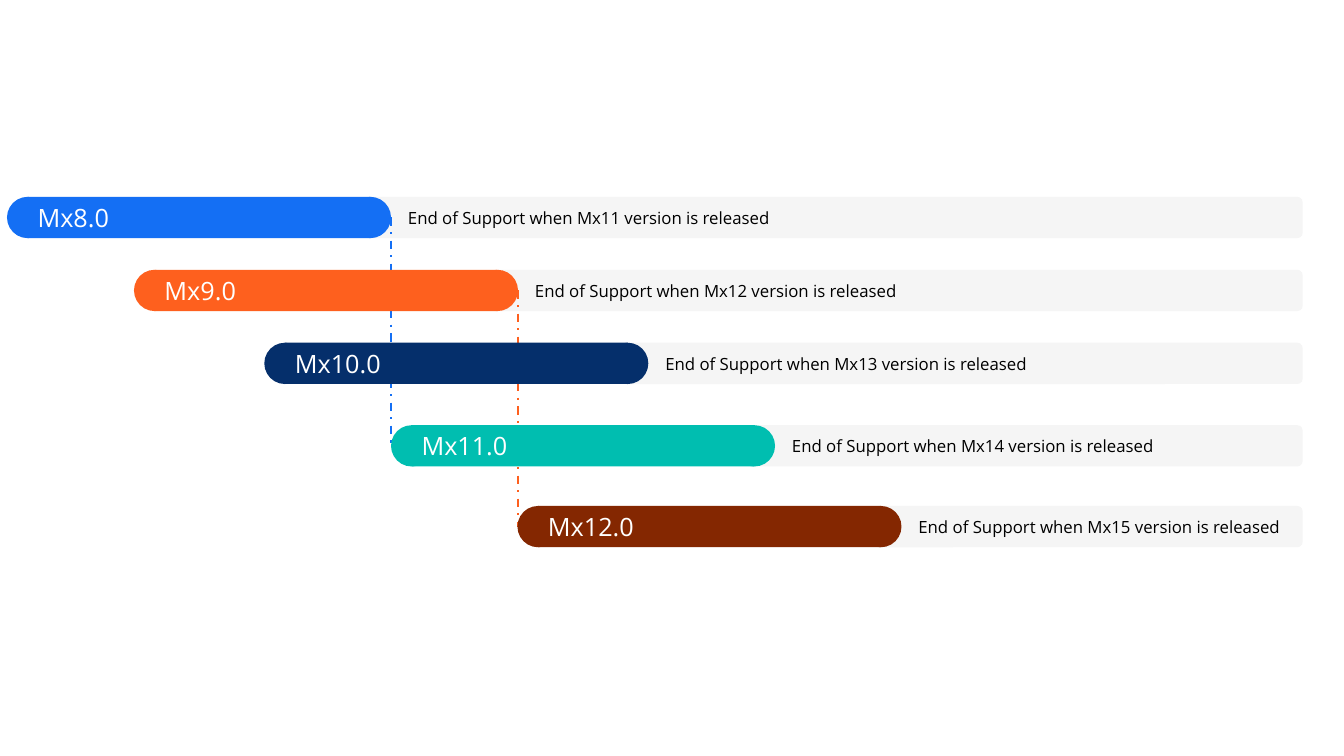
from dataclasses import dataclass

from lxml import etree
from pptx import Presentation
from pptx import util as u
from pptx.dml.color import RGBColor
from pptx.enum import dml, shapes, text
from pptx.oxml.ns import qn


@dataclass(frozen=True)
class Theme:
    font: str = "Open Sans"
    version_size: float = 18
    note_size: float = 12
    line_width: float = 1.5
    band: str = "F5F5F5"
    white: str = "FFFFFF"
    black: str = "000000"
    blue: str = "146FF4"
    orange: str = "FE601E"
    navy: str = "052F6B"
    teal: str = "00BEB0"
    brown: str = "842701"


THEME = Theme()
ROW_HEIGHT = 29.5
BAR_WIDTH = 274.3
BAND_RIGHT = 930.5
BAND_OVERLAP = 20  # part of the band hidden behind the bar

# Major version, bar left, row top, colour
RELEASES = [
    (8, 5, 140.6, THEME.blue),
    (9, 95.7, 192.7, THEME.orange),
    (10, 188.8, 244.8, THEME.navy),
    (11, 279.3, 303.7, THEME.teal),
    (12, 369.6, 361.4, THEME.brown),
]
SUPPORT_SPAN = 3  # a version is supported until the third one after it
LINKED = (8, 9)


def add_block(parent, kind, left, top, width, height, color):
    sp = parent.shapes.add_shape(kind, u.Pt(left), u.Pt(top), u.Pt(width), u.Pt(height))
    sp.shadow.inherit = False
    sp.fill.solid()
    sp.fill.fore_color.rgb = RGBColor.from_string(color)
    sp.line.fill.background()
    return sp


def set_text(sp, words, size, color, inset):
    tf = sp.text_frame
    tf.word_wrap = True
    tf.vertical_anchor = text.MSO_ANCHOR.MIDDLE
    tf.margin_left = u.Pt(inset)
    p = tf.paragraphs[0]
    p.text = words
    p.alignment = text.PP_ALIGN.LEFT
    p.font.name = THEME.font
    p.font.size = u.Pt(size)
    p.font.color.rgb = RGBColor.from_string(color)


def add_release(s, left, top, width, height, version, color):
    """Grey note band with a round-ended version bar at its left."""
    group = s.shapes.add_group_shape()
    bar_right = left + BAR_WIDTH

    # Note band
    band_left = bar_right - BAND_OVERLAP
    band = add_block(group, shapes.MSO_SHAPE.ROUNDED_RECTANGLE, band_left, top,
                     left + width - band_left, height, THEME.band)
    band.adjustments[0] = 0.13
    set_text(band, f"End of Support when Mx{version + SUPPORT_SPAN} version is released",
             THEME.note_size, THEME.black, 31)

    # Bar: two round caps and a body
    for cap_left in (left, bar_right - height):
        add_block(group, shapes.MSO_SHAPE.OVAL, cap_left, top, height, height, color)
    body = add_block(group, shapes.MSO_SHAPE.RECTANGLE, left + height / 2, top,
                     BAR_WIDTH - height, height, color)
    set_text(body, f"Mx{version}.0", THEME.version_size, THEME.white, 7.2)


def add_support_link(s, x, top, bottom, color):
    """Dashed line from the end of a bar to the release that ends its support."""
    line = s.shapes.add_connector(shapes.MSO_CONNECTOR.STRAIGHT,
                                  u.Pt(x), u.Pt(top), u.Pt(x), u.Pt(bottom))
    line.line.color.rgb = RGBColor.from_string(color)
    line.line.width = u.Pt(THEME.line_width)
    line.line.dash_style = dml.MSO_LINE.DASH_DOT
    etree.SubElement(line._element.spPr, qn("a:effectLst"))


def build_timeline(s):
    tops = {version: top for version, _, top, _ in RELEASES}
    for version, left, top, color in RELEASES:
        add_release(s, left, top, BAND_RIGHT - left, ROW_HEIGHT, version, color)
        if version in LINKED:
            add_support_link(s, left + BAR_WIDTH, top + ROW_HEIGHT / 2,
                             tops[version + SUPPORT_SPAN] + ROW_HEIGHT / 2, color)


def main():
    prs = Presentation()
    prs.slide_width, prs.slide_height = u.Pt(960), u.Pt(540)
    s = prs.slides.add_slide(prs.slide_layouts[6])
    build_timeline(s)
    prs.save("out.pptx")


if __name__ == "__main__":
    main()
